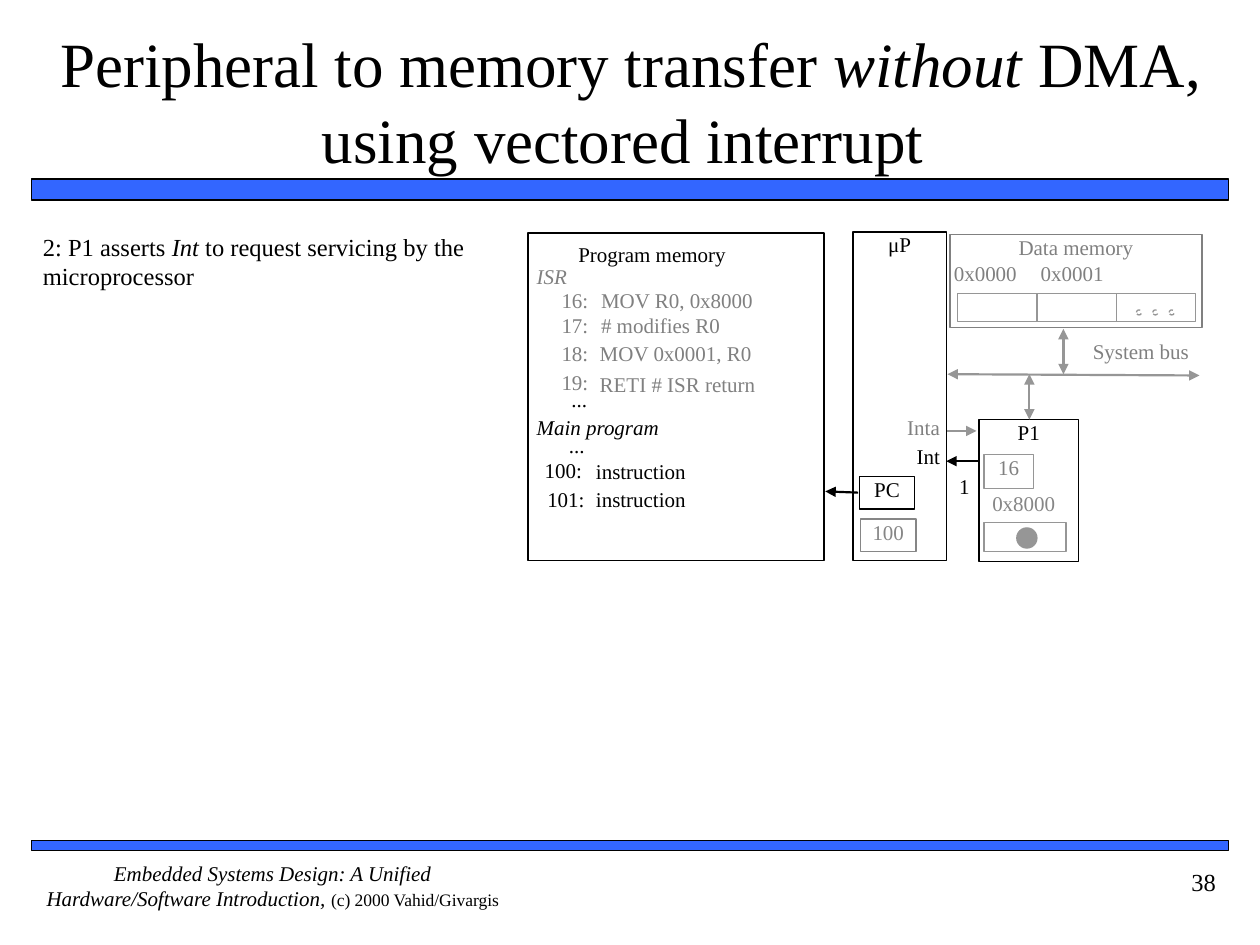
import dataclasses

import lxml.etree
import pptx
import pptx.dml.color
import pptx.enum.dml
import pptx.enum.shapes
import pptx.enum.text
import pptx.oxml.ns
import pptx.util

RGBColor = pptx.dml.color.RGBColor
BLACK = RGBColor(0x00, 0x00, 0x00)
BLUE = RGBColor(0x33, 0x66, 0xFF)
GRAY = RGBColor(0x80, 0x80, 0x80)
PALE = RGBColor(0x86, 0x86, 0x86)
SILVER = RGBColor(0x96, 0x96, 0x96)

SLIDE_WIDTH = pptx.util.Inches(10)
SLIDE_HEIGHT = pptx.util.Inches(7.5)
COLUMNS, ROWS = 100, 75
COLUMN, ROW = SLIDE_WIDTH / COLUMNS, SLIDE_HEIGHT / ROWS

ALIGN = pptx.enum.text.PP_ALIGN
LEFT, CENTER, RIGHT = ALIGN.LEFT, ALIGN.CENTER, ALIGN.RIGHT
RECTANGLE = pptx.enum.shapes.MSO_SHAPE.RECTANGLE
OVAL = pptx.enum.shapes.MSO_SHAPE.OVAL


@dataclasses.dataclass
class Box:
    left: float
    top: float
    width: float
    height: float

    def inner(self, column, row, width, height):
        return Box(self.left + column, self.top + row, width, height)

    def frame(self):
        return {"left": round(self.left * COLUMN), "top": round(self.top * ROW),
                "width": round(self.width * COLUMN), "height": round(self.height * ROW)}


def set_all(target, values):
    for name, value in values.items():
        setattr(target, name, value)


def write(shape, spans, size=12, color=BLACK, align=LEFT, anchor="TOP", inset=(0, 0)):
    across, down = (pptx.util.Inches(length) for length in inset)
    set_all(shape.text_frame, {
        "word_wrap": True, "auto_size": pptx.enum.text.MSO_AUTO_SIZE.NONE,
        "vertical_anchor": getattr(pptx.enum.text.MSO_ANCHOR, anchor),
        "margin_left": across, "margin_right": across,
        "margin_top": down, "margin_bottom": down})
    para = shape.text_frame.paragraphs[0]
    set_all(para, {"alignment": align, "space_before": pptx.util.Pt(0)})
    for text, changes in spans:
        span = para.add_run()
        span.text = text
        set_all(span.font, {"name": "Times New Roman", "size": pptx.util.Pt(size),
                            "italic": False, **changes})
        span.font.color.rgb = color


def add_label(page, box, text, color=BLACK, align=LEFT, italic=False):
    label = page.shapes.add_textbox(**box.frame())
    write(label, [(text, {"italic": italic})], color=color, align=align)


def add_block(page, box, line=BLACK, text="", color=BLACK, fill=None, kind=RECTANGLE, weight=0.75):
    block = page.shapes.add_shape(kind, **box.frame())
    block.shadow.inherit = False
    if fill is None:
        block.fill.background()
    else:
        block.fill.solid()
        block.fill.fore_color.rgb = fill
    block.line.color.rgb = line
    block.line.width = pptx.util.Pt(weight)
    if text:
        write(block, [(text, {})], color=color, align=CENTER)
    return block


def add_arrow(page, start, end, color=SILVER, weight=1.25, both=False):
    ends = [round(length * unit) for point in (start, end)
            for length, unit in zip(point, (COLUMN, ROW))]
    arrow = page.shapes.add_connector(pptx.enum.shapes.MSO_CONNECTOR.STRAIGHT, *ends)
    arrow.line.color.rgb = color
    arrow.line.width = pptx.util.Pt(weight)
    outline = arrow._element.spPr.find(pptx.oxml.ns.qn("a:ln"))
    for tag in ("a:headEnd", "a:tailEnd") if both else ("a:tailEnd",):
        lxml.etree.SubElement(outline, pptx.oxml.ns.qn(tag), type="triangle")
    lxml.etree.SubElement(arrow._element.spPr, pptx.oxml.ns.qn("a:effectLst"))


def build_heading(page, box):
    add_block(page, box.inner(-1.7, box.height, 95, 1.7), fill=BLUE, weight=1)
    title = page.shapes.title
    set_all(title, box.frame())
    write(title, [("Peripheral to memory transfer ", {}), ("without", {"italic": True}),
                  (" DMA, using vectored interrupt ", {})],
          size=36, align=CENTER, anchor="MIDDLE", inset=(0, 0.05))


def build_step(page, box):
    body = page.placeholders[1]
    set_all(body, box.frame())
    write(body, [("2: P1 asserts ", {}), ("Int", {"italic": True}),
                 (" to request servicing by the microprocessor", {})], size=14)
    properties = body.text_frame.paragraphs[0]._p.get_or_add_pPr()
    properties.set("marL", "0")
    properties.set("indent", "0")
    lxml.etree.SubElement(properties, pptx.oxml.ns.qn("a:buNone"))


def build_footer(page, box):
    add_block(page, box.inner(0, 0, box.width, 0.8), fill=BLUE, weight=1)
    credit = page.shapes.add_textbox(**box.inner(0, 1.6, 38.3, 5).frame())
    write(credit, [("Embedded Systems Design: A Unified Hardware/Software Introduction, ",
                    {"italic": True}),
                   ("(c) 2000 Vahid/Givargis", {"size": pptx.util.Pt(10)})], align=CENTER)
    number = page.shapes.add_textbox(**box.inner(box.width - 10, 1.6, 10, 5).frame())
    write(number, [("38", {})], size=14, align=RIGHT, inset=(0.1, 0.05))


def build_program_memory(page, box):
    add_block(page, box)
    add_label(page, box.inner(4, 0.7, 16, 3), "Program memory")
    add_label(page, box.inner(0.7, 2.4, 5, 3), "ISR", GRAY, italic=True)
    add_label(page, box.inner(0.7, 14.4, 14, 3), "Main program", italic=True)
    addresses = [(4.8, 4.3, "16:", GRAY), (4.8, 6.3, "17:", GRAY), (4.8, 8.5, "18:", GRAY),
                 (4.8, 10.8, "19:", GRAY), (4.7, 12.2, "...", BLACK), (4.5, 15.8, "...", BLACK),
                 (4.3, 17.8, "100:", BLACK), (4.5, 20.1, "101:", BLACK)]
    for edge, row, address, color in addresses:
        add_label(page, box.inner(edge - 4, row, 4, 2.2), address, color, RIGHT)
    instructions = [(5.8, 4.3, "MOV R0, 0x8000", GRAY), (5.8, 6.3, "# modifies R0", GRAY),
                    (5.7, 8.5, "MOV 0x0001, R0", GRAY), (5.7, 11, "RETI # ISR return", GRAY),
                    (5.4, 17.9, "instruction", BLACK), (5.4, 20.1, "instruction", BLACK)]
    for column, row, code, color in instructions:
        add_label(page, box.inner(column, row, 17.5, 2.3), code, color)


def build_processor(page, box):
    add_block(page, box, text="μP")
    add_label(page, box.inner(2.9, 14.5, 4, 2.9), "Inta", GRAY, RIGHT)
    add_label(page, box.inner(2.9, 16.8, 4, 2.9), "Int", align=RIGHT)
    add_block(page, box.inner(0.5, 19.4, 4.4, 2.6), text="PC")
    add_block(page, box.inner(0.6, 22.8, 4.4, 2.6), PALE, "100", PALE)


def build_data_memory(page, box):
    add_block(page, box, GRAY, "Data memory", GRAY)
    for column, address in ((0.3, "0x0000"), (7.2, "0x0001")):
        add_label(page, box.inner(column, 2.1, 6.8, 2.2), address, GRAY)
    for index in range(3):
        add_block(page, box.inner(0.6 + 6.3 * index, 4.7, 6.3, 2.2), SILVER)
        dot = add_block(page, box.inner(14.8 + 1.3 * index, 6, 0.4, 0.4), SILVER, kind=OVAL)
        dot.line.dash_style = pptx.enum.dml.MSO_LINE.DASH


def build_peripheral(page, box):
    add_block(page, box, text="P1")
    add_block(page, box.inner(0.4, 2.8, 3.9, 2.7), SILVER, "16", GRAY)
    add_label(page, box.inner(0.1, 5.6, 6.9, 2.7), "0x8000", PALE, CENTER)
    add_block(page, box.inner(0.4, 8.2, 6.5, 2.3), SILVER)
    add_block(page, box.inner(3, 8.6, 1.6, 1.6), SILVER, fill=SILVER, kind=OVAL)


def build_signals(page, box):
    add_label(page, box.inner(10.1, 0.8, 10.5, 3.1), "System bus", GRAY, CENTER)
    add_label(page, box.inner(0.2, 11.5, 2.3, 2), "1", align=CENTER)
    left, bus = box.left, box.top + 3.6
    add_arrow(page, (left, bus), (left + box.width, bus + 0.1), both=True)
    add_arrow(page, (left + 9.2, box.top), (left + 9.2, bus), both=True)
    add_arrow(page, (left + 6.5, bus), (left + 6.5, bus + 3.6), both=True)
    add_arrow(page, (left, bus + 4.5), (left + 2.3, bus + 4.5), weight=0.75)
    add_arrow(page, (left + 2.4, bus + 6.9), (left - 0.1, bus + 6.9), BLACK, 0.75)
    add_arrow(page, (left - 7.1, bus + 9.4), (left - 9.7, bus + 9.3), BLACK)


def main():
    deck = pptx.Presentation()
    set_all(deck, {"slide_width": SLIDE_WIDTH, "slide_height": SLIDE_HEIGHT})
    page = deck.slides.add_slide(deck.slide_layouts[1])
    build_heading(page, Box(4.2, 1.7, 91.7, 12.5))
    build_step(page, Box(3.4, 18.4, 34.2, 9.3))
    build_program_memory(page, Box(41.9, 18.5, 23.5, 26))
    build_processor(page, Box(67.7, 18.4, 7.4, 26.1))
    build_data_memory(page, Box(75.4, 18.6, 20, 7.4))
    build_peripheral(page, Box(77.7, 33.3, 7.9, 11.3))
    build_signals(page, Box(75.2, 26.1, 20, 18.4))
    build_footer(page, Box(2.5, 66.7, 95, 6.6))
    deck.save("out.pptx")


if __name__ == "__main__":
    main()
